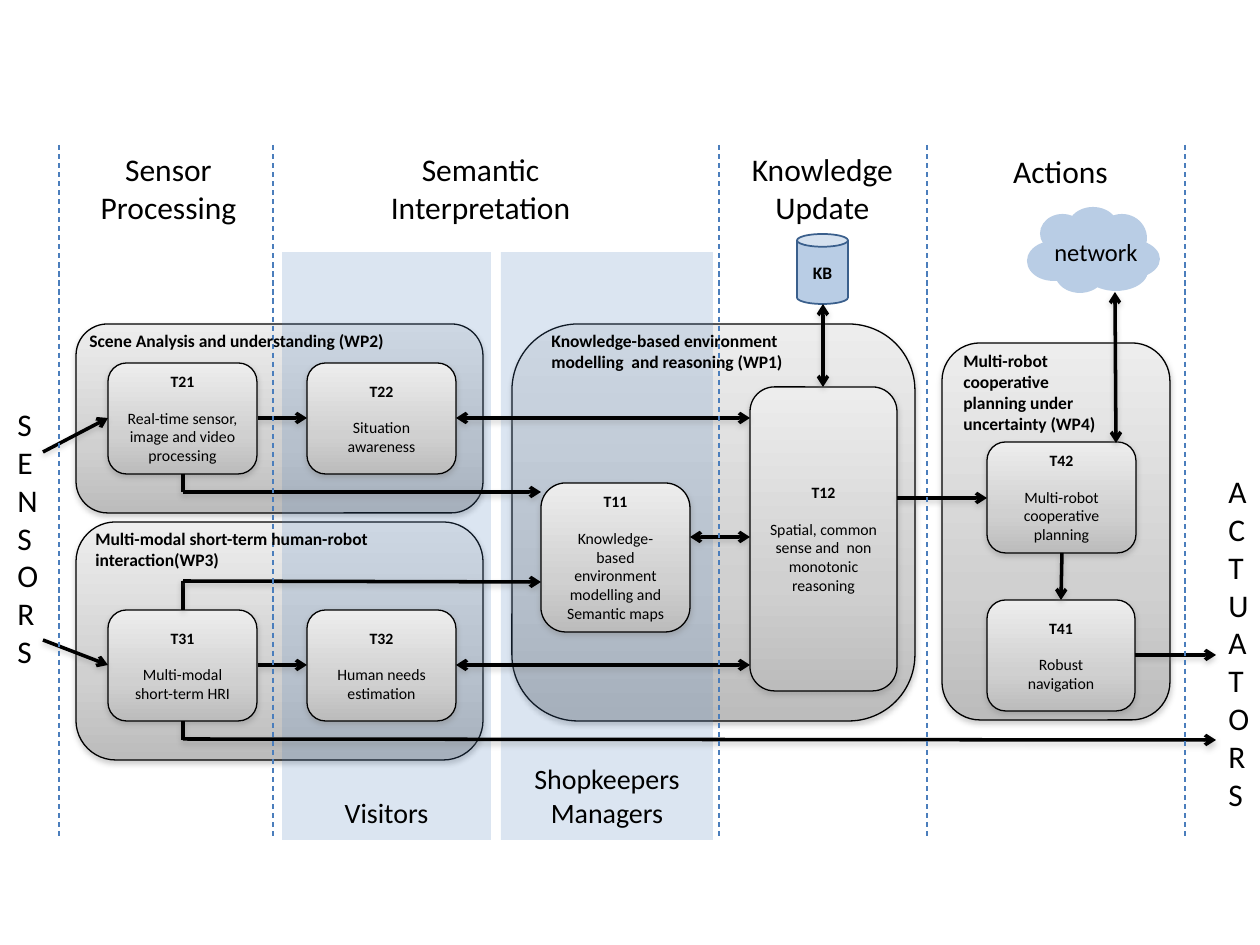
from copy import deepcopy

from lxml.etree import SubElement
from pptx import Presentation
from pptx.dml.color import RGBColor
from pptx.enum.dml import MSO_LINE
from pptx.enum.shapes import MSO_CONNECTOR, MSO_SHAPE
from pptx.enum.text import MSO_ANCHOR, MSO_AUTO_SIZE, PP_ALIGN
from pptx.oxml.ns import qn
from pptx.util import Emu, Pt

SCALE = 914400 / 126
BLACK = RGBColor(0x00, 0x00, 0x00)
BAND_BLUE = RGBColor(0x4F, 0x81, 0xBD)
PALE_BLUE = RGBColor(0xB9, 0xCD, 0xE5)
CAN_EDGE = RGBColor(0x3A, 0x5F, 0x8C)
DASH_BLUE = RGBColor(0x4B, 0x7E, 0xBC)
SHADOW_GREY = RGBColor(0x80, 0x80, 0x80)
PANEL_STOPS = (
    (0, RGBColor(0xED, 0xED, 0xED)),
    (0.65, RGBColor(0xD0, 0xD0, 0xD0)),
    (1, RGBColor(0xBC, 0xBC, 0xBC)),
)

WORK_PACKAGES = [
    (512, 324, 403, 397), (942, 343, 228, 377),
    (76, 522, 407, 238), (76, 324, 407, 189),
]
BANDS = [
    (501, 212, ["Shopkeepers", "Managers"]),
    (282, 209, ["Visitors"]),
]
HEADINGS = [
    (87, 144, 163, ["Sensor", "Processing"]),
    (377, 144, 207, ["Semantic", "Interpretation"]),
    (738, 144, 169, ["Knowledge", "Update"]),
    (1000, 146, 121, ["Actions"]),
]
TASKS = [
    ((108, 363, 149, 111), "T21", "Real-time sensor, image and video processing"),
    ((108, 610, 149, 111), "T31", "Multi-modal short-term HRI"),
    ((307, 363, 149, 111), "T22", "Situation awareness"),
    ((307, 610, 149, 111), "T32", "Human needs estimation"),
    ((541, 483, 149, 149), "T11",
     "Knowledge-based environment modelling and Semantic maps"),
    ((987, 600, 148, 111), "T41", "Robust navigation"),
    ((987, 442, 149, 111), "T42", "Multi-robot cooperative planning"),
    ((750, 387, 147, 304), "T12",
     "Spatial, common sense and  non monotonic reasoning"),
]
ONE_WAY = [
    (43, 452, 108, 418), (43, 640, 108, 665), (258, 418, 307, 418),
    (258, 665, 307, 665), (183, 492, 541, 492), (183, 581, 541, 582),
    (183, 739, 1216, 740), (1062, 553, 1061, 600), (897, 498, 987, 498),
    (1135, 655, 1216, 655),
]
TWO_WAY = [
    (456, 418, 750, 418), (456, 665, 750, 665), (690, 537, 750, 537),
    (823, 304, 823, 387), (1115, 292, 1116, 443),
]
ELBOWS = [(183, 474, 183, 492), (183, 581, 183, 610), (183, 721, 183, 740)]
SEPARATORS = [59, 273, 719, 927, 1185]
CLOUD_PUFFS = [
    (1071, 236, 50, 40), (1040, 214, 45, 39), (1027, 241, 53, 40),
    (1068, 207, 50, 40), (1097, 214, 50, 48), (1055, 253, 50, 40),
    (1084, 251, 64, 40), (1096, 239, 64, 40),
]
PACKAGE_TITLES = [
    ((77, 324, 324, 34), False, ["Scene Analysis and understanding (WP2)"]),
    ((83, 522, 373, 55), True,
     ["Multi-modal short-term human-robot interaction(WP3)"]),
    ((539, 324, 260, 55), False,
     ["Knowledge-based environment", "modelling  and reasoning (WP1)"]),
    ((951, 344, 164, 97), True,
     ["Multi-robot cooperative planning under uncertainty (WP4)"]),
]


def px(*lengths):
    """Turn picture pixels into EMU."""
    return [Emu(round(length * SCALE)) for length in lengths]


def assign(target, values):
    """Set each named attribute on the target."""
    for name, value in values.items():
        setattr(target, name, value)


def write(frame, lines, size, align=PP_ALIGN.LEFT, bold=False):
    """Write one paragraph per line in a uniform style."""
    for index, line in enumerate(lines):
        paragraph = frame.paragraphs[0] if index == 0 else frame.add_paragraph()
        paragraph.alignment = align
        run = paragraph.add_run()
        run.text = line
        assign(run.font, {"name": "Calibri", "size": Pt(size), "bold": bold})
        run.font.color.rgb = BLACK


def add_label(slide, box, lines, size, wrap=False, **style):
    """Add a text box that grows with its wording."""
    frame = slide.shapes.add_textbox(*px(*box)).text_frame
    assign(frame, {"word_wrap": wrap, "auto_size": MSO_AUTO_SIZE.SHAPE_TO_FIT_TEXT})
    write(frame, lines, size, **style)


def cast_shadow(effects):
    """Fill an effect list with a soft shadow falling downwards."""
    shadow = SubElement(effects, qn("a:outerShdw"), blurRad="40000",
                        dist="20000", dir="5400000", rotWithShape="0")
    tint = SubElement(shadow, qn("a:srgbClr"), val=str(SHADOW_GREY))
    SubElement(tint, qn("a:alpha"), val="38000")


def add_flat(shapes, kind, box, color, edge=None):
    """Add a plainly filled shape, outlined only if an edge colour is given."""
    shape = shapes.add_shape(kind, *px(*box))
    shape.shadow.inherit = False
    shape.fill.solid()
    shape.fill.fore_color.rgb = color
    if edge is None:
        shape.line.fill.background()
    else:
        shape.line.color.rgb = edge
        shape.line.width = Pt(1)
    return shape


def add_panel(slide, box):
    """Add a rounded grey gradient panel with a shadow."""
    panel = add_flat(slide.shapes, MSO_SHAPE.ROUNDED_RECTANGLE, box, BLACK, BLACK)
    panel.line.width = Pt(0.75)
    panel.fill.gradient()
    panel.fill.gradient_angle = 270
    properties = panel._element.spPr
    stop_list = properties.find(".//" + qn("a:gsLst"))
    stop_list.append(deepcopy(stop_list[0]))
    for stop, (position, color) in zip(panel.fill.gradient_stops, PANEL_STOPS):
        stop.position = position
        stop.color.rgb = color
    cast_shadow(properties.find(qn("a:effectLst")))
    return panel


def add_task(slide, box, code, summary):
    """Add a task panel with its bold code above its summary."""
    frame = add_panel(slide, box).text_frame
    assign(frame, {"word_wrap": True, "vertical_anchor": MSO_ANCHOR.MIDDLE})
    write(frame, [code, summary], 9, PP_ALIGN.CENTER)
    heading = frame.paragraphs[0]
    heading.space_after = Pt(10)
    heading.runs[0].font.bold = True


def add_band(slide, left, width, lines):
    """Add a translucent user band labelled at its foot."""
    band = add_flat(slide.shapes, MSO_SHAPE.RECTANGLE, (left, 252, width, 588), BAND_BLUE)
    tint = band._element.spPr.find(".//" + qn("a:srgbClr"))
    SubElement(tint, qn("a:alpha"), val="20000")
    assign(band.text_frame, {"word_wrap": True, "margin_bottom": px(11)[0],
                             "vertical_anchor": MSO_ANCHOR.BOTTOM})
    write(band.text_frame, lines, 16, PP_ALIGN.CENTER)


def add_line(slide, ends, color=BLACK, width=2, dash=None, arrows=(), shadow=True):
    """Add a straight line with optional dash, arrowheads and shadow."""
    link = slide.shapes.add_connector(MSO_CONNECTOR.STRAIGHT, *px(*ends))
    link.line.color.rgb = color
    assign(link.line, {"width": Pt(width), "dash_style": dash})
    properties = link._element.spPr
    for end in arrows:
        SubElement(properties.find(qn("a:ln")), qn("a:" + end), type="arrow")
    effects = SubElement(properties, qn("a:effectLst"))
    if shadow:
        cast_shadow(effects)


def add_store(slide):
    """Add the knowledge base cylinder."""
    store = add_flat(slide.shapes, MSO_SHAPE.CAN, (797, 234, 51, 70), PALE_BLUE, CAN_EDGE)
    store.text_frame.vertical_anchor = MSO_ANCHOR.MIDDLE
    write(store.text_frame, ["KB"], 10, PP_ALIGN.CENTER, True)


def add_network(slide):
    """Add the network cloud and its label."""
    cloud = slide.shapes.add_group_shape()
    for puff in CLOUD_PUFFS:
        add_flat(cloud.shapes, MSO_SHAPE.OVAL, puff, PALE_BLUE)
    add_label(slide, (1042, 231, 110, 43), ["network"], 14)


def main():
    """Build the architecture slide and save it."""
    deck = Presentation()
    deck.slide_width, deck.slide_height = px(1260, 945)
    slide = deck.slides.add_slide(deck.slide_layouts[6])
    for box in WORK_PACKAGES:
        add_panel(slide, box)
    for band in BANDS:
        add_band(slide, *band)
    add_label(slide, (5, 399, 48, 280), "SENSORS", 18)
    add_label(slide, (1216, 466, 49, 357), "ACTUATORS", 18)
    for left, top, width, lines in HEADINGS:
        add_label(slide, (left, top, width, 45 * len(lines)), lines, 18,
                  align=PP_ALIGN.CENTER)
    for task in TASKS:
        add_task(slide, *task)
    add_store(slide)
    add_network(slide)
    for links, arrows in ((ELBOWS, ()), (ONE_WAY, ("tailEnd",)),
                          (TWO_WAY, ("headEnd", "tailEnd"))):
        for ends in links:
            add_line(slide, ends, arrows=arrows)
    for x in SEPARATORS:
        add_line(slide, (x, 145, x, 839), DASH_BLUE, 0.75, MSO_LINE.DASH, shadow=False)
    for box, wrap, lines in PACKAGE_TITLES:
        add_label(slide, box, lines, 10, wrap, bold=True)
    deck.save("out.pptx")


main()
